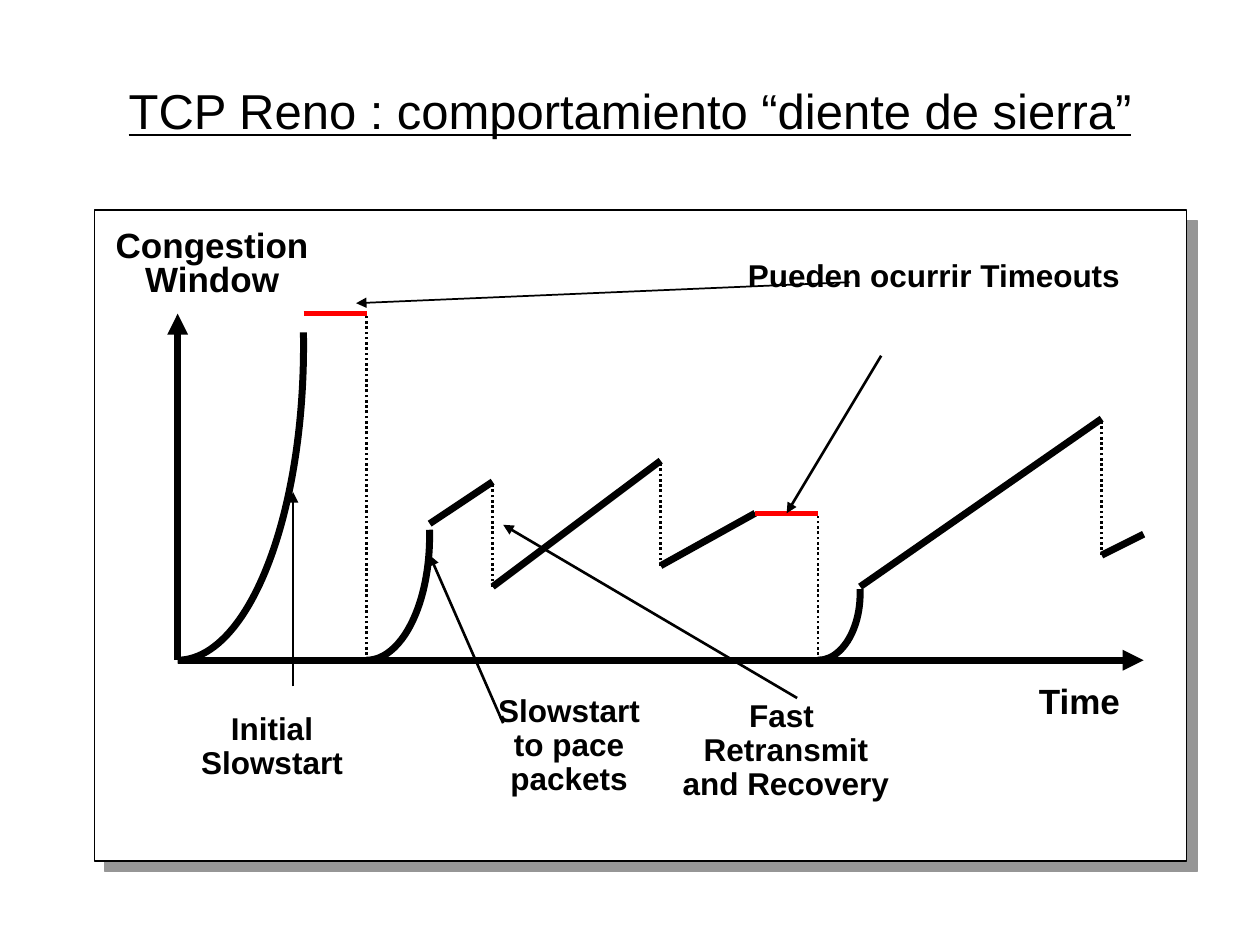
from dataclasses import dataclass

from lxml.etree import SubElement
from pptx import Presentation
from pptx.dml.color import RGBColor
from pptx.enum.dml import MSO_LINE
from pptx.enum.shapes import MSO_CONNECTOR, MSO_SHAPE
from pptx.enum.text import MSO_ANCHOR, MSO_AUTO_SIZE, PP_ALIGN
from pptx.oxml.ns import qn
from pptx.util import Inches, Pt


@dataclass(frozen=True)
class Theme:
    """Colours, type sizes and line widths of the slide."""
    font: str = "Arial"
    ink: RGBColor = RGBColor(0, 0, 0)
    paper: RGBColor = RGBColor(255, 255, 255)
    timeout: RGBColor = RGBColor(255, 0, 0)
    shadow: str = "969696"
    title: int = 28
    axis_label: int = 20
    note: int = 18
    frame: float = 0.75
    curve: float = 4
    plateau: float = 3
    thin: float = 1.5
    hairline: float = 1


THEME = Theme()
COLUMNS, ROWS, CELL = 120, 90, 1 / 12
ORIGIN = (16.92, 62.88)
TITLE_BOX = (9, 4, 102, 13)
PANEL_BOX = (9, 20, 104, 62)

SLOWSTARTS = [(0, 12, 33), (18, 24, 13), (61, 65, 7)]
RAMPS = [
    ((24, 13), (30, 17)),
    ((30, 7), (46, 19)),
    ((46, 9), (55, 14)),
    ((65, 7), (88, 23)),
    ((88, 10), (92, 12)),
]
TIMEOUTS = [((12, 33), (18, 33)), ((55, 14), (61, 14))]
DROPS = [(18, 33, 0), (30, 17, 7), (46, 19, 9), (61, 14, 0), (88, 23, 10)]
POINTERS = [
    ((11, -2.5), (11, 16), THEME.thin),
    ((59, -3.6), (31, 12.9), THEME.thin),
    ((31, -6), (24, 10), THEME.thin),
    ((67, 29), (58, 14), THEME.thin),
    ((64, 36), (17, 34), THEME.hairline),
]
LABELS = [
    (["Time"], (97.7, 64.1, 10.2, 5.2), THEME.axis_label, 1.0),
    (["Congestion", "Window"], (9.8, 21.5, 20.8, 7.6), THEME.axis_label, 0.8),
    (["Initial", "Slowstart"], (17.9, 67.3, 16, 7.7), THEME.note, 0.9),
    (["Slowstart", "to pace", "packets"], (46.2, 65.6, 16, 10.9), THEME.note, 0.9),
    (["Fast ", "Retransmit", "and Recovery"], (63.8, 66.1, 22.1, 10.9), THEME.note, 0.9),
    (["Pueden ocurrir Timeouts"], (70, 24.2, 37.9, 4.4), THEME.note, 0.9),
]


def cells(*counts):
    """Turn counts of grid cells into lengths."""
    return [Inches(count * CELL) for count in counts]


def apply(target, formats):
    """Set each format value on the target."""
    for name, value in formats.items():
        setattr(target, name, value)


def style_line(line, color, width):
    """Give a line its colour and width."""
    line.color.rgb = color
    line.width = Pt(width)


def plot_point(point, origin):
    """Place a plot point on the slide grid."""
    return cells(origin[0] + point[0], origin[1] - point[1])


def add_title(slide, box, text):
    """Fill and place the title placeholder."""
    title = slide.shapes.title
    apply(title, dict(zip(("left", "top", "width", "height"), cells(*box))))
    title.text_frame.text = text
    apply(title.text_frame, {"vertical_anchor": MSO_ANCHOR.MIDDLE, "word_wrap": True})
    paragraph = title.text_frame.paragraphs[0]
    paragraph.alignment = PP_ALIGN.CENTER
    font = paragraph.runs[0].font
    apply(font, {"name": THEME.font, "size": Pt(THEME.title), "underline": True})
    font.color.rgb = THEME.ink


def add_panel(slide, box):
    """Add the framed panel with its hard shadow."""
    panel = slide.shapes.add_shape(MSO_SHAPE.RECTANGLE, *cells(*box))
    panel.fill.solid()
    panel.fill.fore_color.rgb = THEME.paper
    style_line(panel.line, THEME.ink, THEME.frame)
    panel.shadow.inherit = False
    effects = panel._element.spPr.find(qn("a:effectLst"))
    shadow = SubElement(effects, qn("a:outerShdw"), blurRad="0", dist=str(Pt(8.5)),
                        dir="2700000", algn="ctr", rotWithShape="0")
    SubElement(shadow, qn("a:srgbClr"), val=THEME.shadow)


def add_segment(slide, origin, start, end, width, color=THEME.ink, dotted=False, arrow=False):
    """Draw a straight line between two plot points."""
    connector = slide.shapes.add_connector(
        MSO_CONNECTOR.STRAIGHT, *plot_point(start, origin), *plot_point(end, origin))
    style_line(connector.line, color, width)
    if dotted:
        connector.line.dash_style = MSO_LINE.ROUND_DOT
    properties = connector._element.spPr
    if arrow:
        SubElement(properties.find(qn("a:ln")), qn("a:tailEnd"), type="triangle")
    SubElement(properties, qn("a:effectLst"))


def add_slowstart(slide, origin, start, end, peak):
    """Draw a slow start as the lower right quarter of an ellipse."""
    radius = end - start
    height = peak / 1.1
    left, top = plot_point((start - radius, 2 * height), origin)
    arc = slide.shapes.add_shape(MSO_SHAPE.ARC, left, top, *cells(2 * radius, 2 * height))
    for index, degrees in enumerate((354.2, 90)):
        arc.adjustments[index] = degrees * 0.6
    arc.fill.background()
    style_line(arc.line, THEME.ink, THEME.curve)
    arc.shadow.inherit = False


def add_plot(slide, origin):
    """Draw the axes and the congestion window over time."""
    for start, end in (((0, 0), (0, 33)), ((0, 0), (92, 0))):
        add_segment(slide, origin, start, end, THEME.curve, arrow=True)
    for slowstart in SLOWSTARTS:
        add_slowstart(slide, origin, *slowstart)
    for start, end in RAMPS:
        add_segment(slide, origin, start, end, THEME.curve)
    for column, high, low in DROPS:
        add_segment(slide, origin, (column, low), (column, high), THEME.thin, dotted=True)
    for start, end in TIMEOUTS:
        add_segment(slide, origin, start, end, THEME.plateau, THEME.timeout)
    for start, end, width in POINTERS:
        add_segment(slide, origin, start, end, width, arrow=True)


def add_label(slide, lines, box, size, spacing):
    """Add a bold centred label, one paragraph per line."""
    frame = slide.shapes.add_textbox(*cells(*box)).text_frame
    frame.text = "\n".join(lines)
    apply(frame, {"word_wrap": False, "auto_size": MSO_AUTO_SIZE.SHAPE_TO_FIT_TEXT})
    for paragraph in frame.paragraphs:
        apply(paragraph, {"alignment": PP_ALIGN.CENTER, "line_spacing": spacing})
        font = paragraph.runs[0].font
        apply(font, {"name": THEME.font, "size": Pt(size), "bold": True})
        font.color.rgb = THEME.ink


def main():
    """Build and save the slide."""
    presentation = Presentation()
    presentation.slide_width, presentation.slide_height = cells(COLUMNS, ROWS)
    slide = presentation.slides.add_slide(presentation.slide_layouts[5])
    add_title(slide, TITLE_BOX, "TCP Reno : comportamiento “diente de sierra”")
    add_panel(slide, PANEL_BOX)
    add_plot(slide, ORIGIN)
    for label in LABELS:
        add_label(slide, *label)
    presentation.save("out.pptx")


if __name__ == "__main__":
    main()
